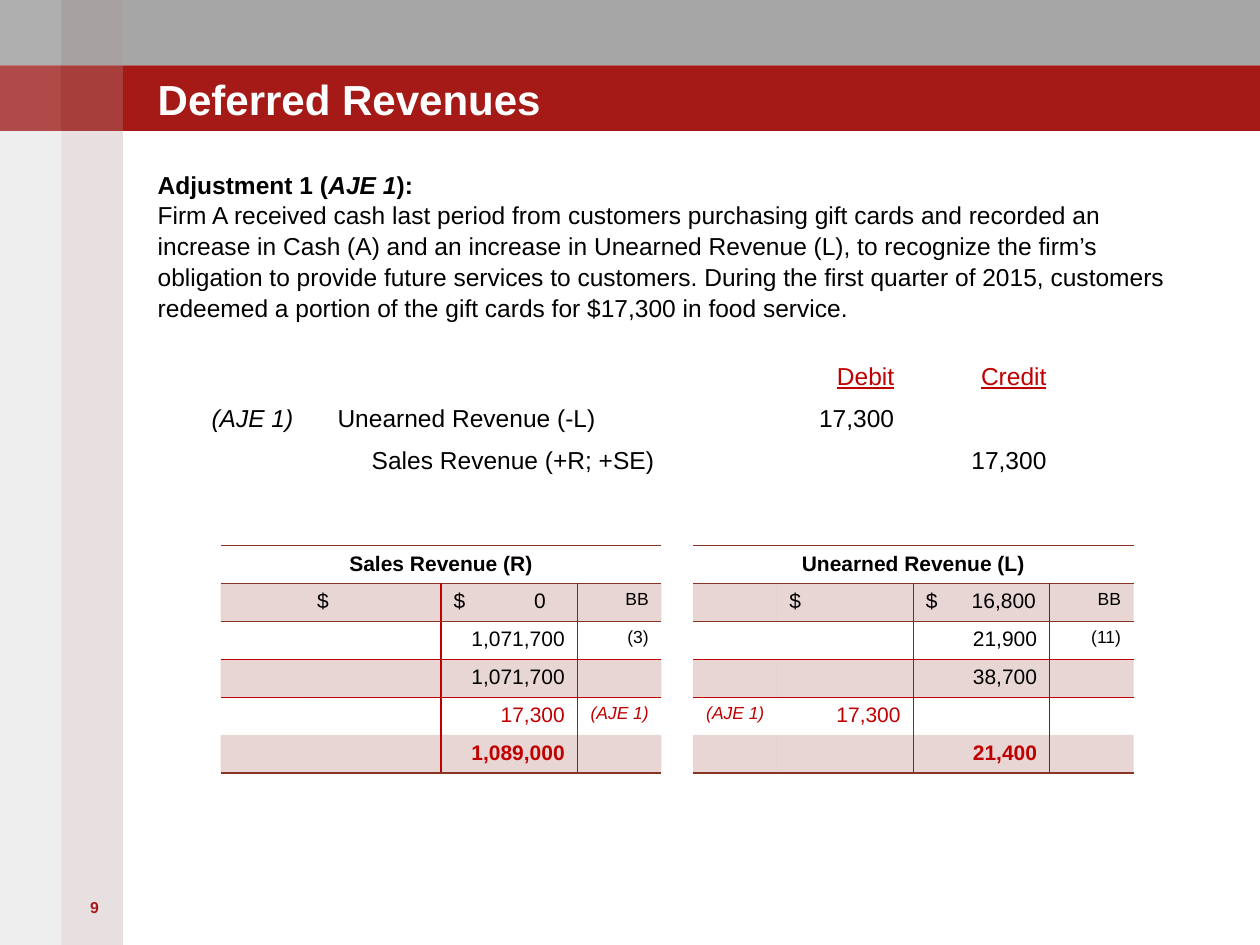
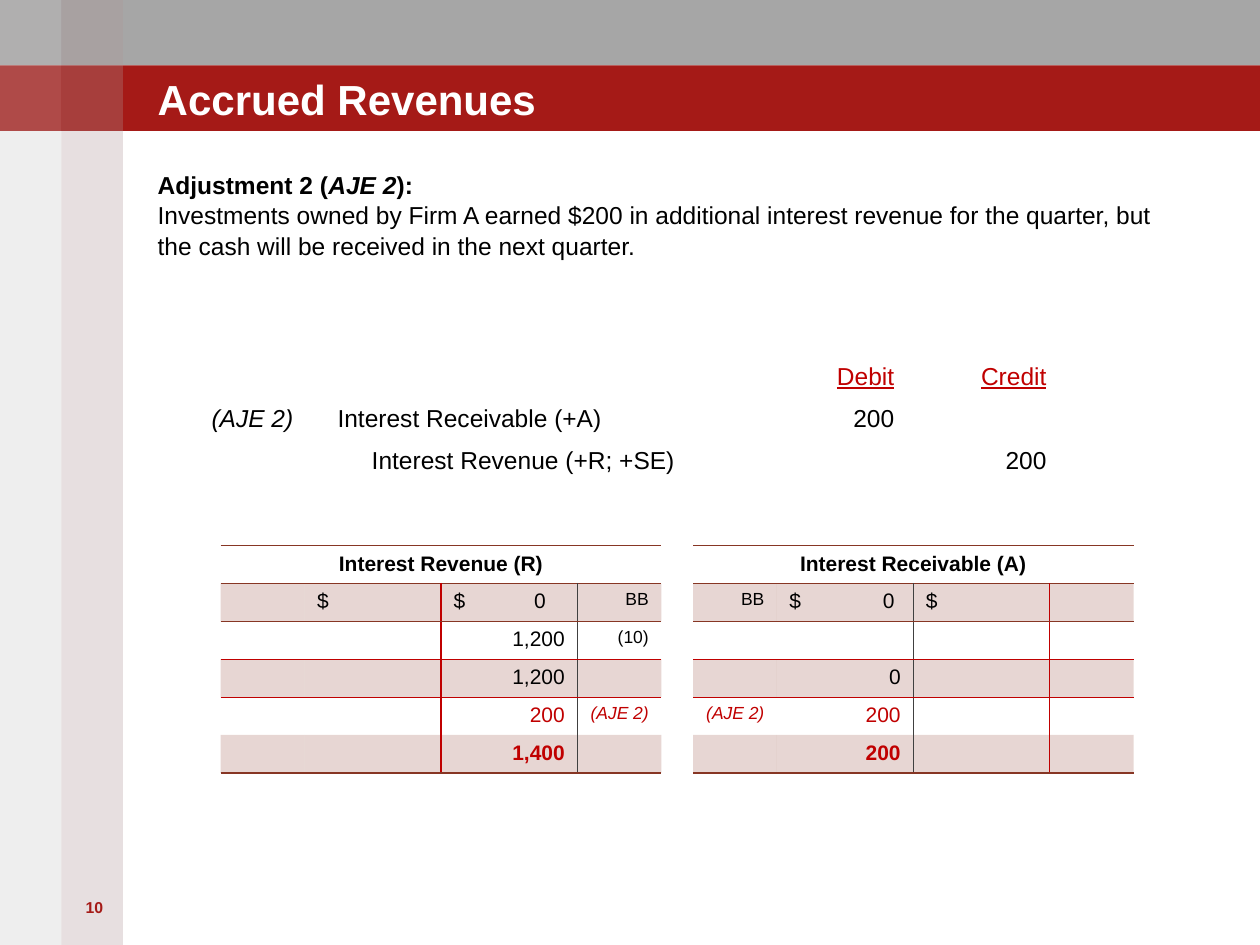
from dataclasses import dataclass

from lxml import etree
from pptx import Presentation
from pptx.dml.color import RGBColor
from pptx.enum.shapes import MSO_SHAPE
from pptx.enum.text import MSO_ANCHOR, MSO_AUTO_SIZE, PP_ALIGN
from pptx.oxml.ns import qn
from pptx.util import Cm, Pt

RECT = MSO_SHAPE.RECTANGLE
LOW = MSO_ANCHOR.BOTTOM
FIXED = MSO_AUTO_SIZE.NONE
LEFT, MID, RIGHT = PP_ALIGN.LEFT, PP_ALIGN.CENTER, PP_ALIGN.RIGHT
TITLE_ONLY = 5
NO_STYLE = "{2D5ABB26-0587-4C30-8999-92F81FD0307C}"


@dataclass(frozen=True)
class Theme:
    font: str = "Arial"
    white: str = "FFFFFF"
    black: str = "000000"
    gray: str = "A6A6A6"
    brand: str = "A51A17"
    rose: str = "A08284"
    stone: str = "938F8F"
    red: str = "C00000"
    brown: str = "873624"
    dark: str = "404040"
    title: int = 24
    body: int = 14
    ledger: int = 12
    note: int = 10
    number: int = 9


THEME = Theme()
WIDTH, HEIGHT = 25.4, 19.05
BAND, STRIPE = 1.32, 1.24
ENTRY_COLS = (2.54, 9.19, 2.54, 3.07)
LEDGER_COLS = (1.69, 2.75, 2.75, 1.69)
RULES = {0: (THEME.brown, 1), 1: (THEME.brown, 1),
         3: (THEME.red, 0.5), 6: (THEME.brown, 1)}
THICK, THIN = (THEME.red, 1), (THEME.dark, 0.5)

SLIDES = [
    {
        "page": 9,
        "title": "Deferred Revenues",
        "lead": ("Adjustment 1 (", "AJE 1", "):"),
        "story": "Firm A received cash last period from customers purchasing gift cards "
                 "and recorded an increase in Cash (A) and an increase in Unearned Revenue (L), "
                 "to recognize the firm’s obligation to provide future services to customers. "
                 "During the first quarter of 2015, customers redeemed a portion of the gift "
                 "cards for $17,300 in food service.",
        "entry": ("(AJE 1)", "Unearned Revenue (-L)", "Sales Revenue (+R; +SE)", "17,300"),
        "left": ("Sales Revenue (R)", 1.86, [
            ("", "$", "$\t0", "BB"),
            ("", "", "1,071,700", "(3)"),
            ("", "", "1,071,700", ""),
            ("", "", "17,300", "(AJE 1)"),
            ("", "", "1,089,000", ""),
        ]),
        "right": ("Unearned Revenue (L)", 2.22, [
            ("", "$", "$\t16,800", "BB"),
            ("", "", "21,900", "(11)"),
            ("", "", "38,700", ""),
            ("(AJE 1)", "17,300", "", ""),
            ("", "", "21,400", ""),
        ]),
    },
    {
        "page": 10,
        "title": "Accrued Revenues",
        "lead": ("Adjustment 2 (", "AJE 2", "):"),
        "story": "Investments owned by Firm A earned $200 in additional interest revenue "
                 "for the quarter, but the cash will be received in the next quarter.",
        "entry": ("(AJE 2)", "Interest Receivable (+A)", "Interest Revenue (+R; +SE)", "200"),
        "left": ("Interest Revenue (R)", 1.86, [
            ("", "$", "$\t0", "BB"),
            ("", "", "1,200", "(10)"),
            ("", "", "1,200", ""),
            ("", "", "200", "(AJE 2)"),
            ("", "", "1,400", ""),
        ]),
        "right": ("Interest Receivable (A)", 2.12, [
            ("BB", "$\t0", "$", ""),
            ("", "", "", ""),
            ("", "0", "", ""),
            ("(AJE 2)", "200", "", ""),
            ("", "200", "", ""),
        ]),
    },
]


def put(par, text, size=THEME.body, color=THEME.black, bold=False, italic=False,
        under=False, align=LEFT, indent=0, tab=0):
    par.alignment = align
    props = par._p.get_or_add_pPr()
    if indent:
        props.set("marL", str(Cm(indent)))
    if "\t" in text:
        stops = etree.SubElement(props, qn("a:tabLst"))
        etree.SubElement(stops, qn("a:tab"), pos=str(Cm(tab)), algn="r")
    if not text:
        etree.SubElement(par._p, qn("a:endParaRPr"), sz=str(size * 100))
        return
    run = par.add_run()
    run.text = text
    font = run.font
    font.name, font.size = THEME.font, Pt(size)
    font.bold, font.italic, font.underline = bold, italic, under
    font.color.rgb = RGBColor.from_string(color)


def paint(fill, props, color, alpha=100):
    fill.solid()
    fill.fore_color.rgb = RGBColor.from_string(color)
    if alpha < 100:
        tone = props.find(f"{qn('a:solidFill')}/{qn('a:srgbClr')}")
        etree.SubElement(tone, qn("a:alpha"), val=str(alpha * 1000))


def block(slide, left, top, width, height, color, alpha=100):
    shape = slide.shapes.add_shape(RECT, Cm(left), Cm(top), Cm(width), Cm(height))
    shape.shadow.inherit = False
    shape.line.fill.background()
    paint(shape.fill, shape._element.spPr, color, alpha)


def frame(slide, left, top, width, height):
    box = slide.shapes.add_textbox(Cm(left), Cm(top), Cm(width), Cm(height))
    box.text_frame.word_wrap = True
    return box.text_frame


def strip(area):
    area.margin_left = area.margin_right = area.margin_top = area.margin_bottom = 0


def bands(slide):
    for row, color in enumerate((THEME.gray, THEME.brand)):
        block(slide, 0, row * BAND, WIDTH, BAND, color)
    stripes = ((THEME.stone, 15, 15), (THEME.rose, 25, 5))
    for col, (color, alpha, glow) in enumerate(stripes):
        block(slide, col * STRIPE, 0, STRIPE, HEIGHT, color, alpha)
        for row in range(2):
            block(slide, col * STRIPE, row * BAND, STRIPE, BAND, THEME.white, glow)


def head(slide, text):
    title = slide.shapes.title
    slide.shapes._spTree.append(title._element)
    title.left, title.top, title.width, title.height = Cm(3.18), Cm(0.79), Cm(20.96), Cm(1.7)
    area = title.text_frame
    strip(area)
    area.auto_size, area.vertical_anchor = FIXED, LOW
    put(area.paragraphs[0], text, size=THEME.title, color=THEME.white, bold=True)


def footer(slide, page):
    area = frame(slide, 1.27, 17.98, 1.27, 1.42)
    put(area.paragraphs[0], str(page), size=THEME.number, color=THEME.brand,
        bold=True, align=MID)


def brief(slide, lead, story):
    area = frame(slide, 3.18, 3.39, 20.32, 4.2)
    strip(area)
    first, second = area.paragraphs[0], area.add_paragraph()
    first.line_spacing = second.line_spacing = 1.05
    for spot, text in enumerate(lead):
        put(first, text, bold=True, italic=spot == 1)
    put(second, story)


def grid(slide, left, top, cols, rows, height):
    holder = slide.shapes.add_table(rows, len(cols), Cm(left), Cm(top),
                                    Cm(sum(cols)), Cm(rows * height))
    table = holder.table
    table.first_row = table.horz_banding = False
    table._tbl.tblPr.find(qn("a:tableStyleId")).text = NO_STYLE
    for col, width in zip(table.columns, cols):
        col.width = Cm(width)
    for row in table.rows:
        row.height = Cm(height)
    return table


def edge(cell, **sides):
    props = cell._tc.get_or_add_tcPr()
    for side, rule in sides.items():
        if rule:
            color, width = rule
            line = etree.SubElement(props, qn(f"a:ln{side}"), w=str(Pt(width)))
            fill = etree.SubElement(line, qn("a:solidFill"))
            etree.SubElement(fill, qn("a:srgbClr"), val=color)


def entry(slide, label, debit, credit, amount):
    table = grid(slide, 4.01, 7.19, ENTRY_COLS, 3, 0.81)
    rows = (("", "", "Debit", "Credit"),
            (label, debit, amount, ""),
            ("", credit, "", amount))
    for r, row in enumerate(rows):
        for c, text in enumerate(row):
            cell = table.cell(r, c)
            cell.fill.background()
            put(cell.text_frame.paragraphs[0], text,
                color=THEME.black if r else THEME.red, under=r == 0, italic=c == 0,
                align=RIGHT if c > 1 else LEFT, indent=0.69 if (r, c) == (2, 1) else 0)


def ledger(slide, left, stems, name, tab, rows):
    table = grid(slide, left, 11, LEDGER_COLS, 6, 0.73)
    table.cell(0, 0).merge(table.cell(0, 3))
    for r, row in enumerate([(name, "", "", "")] + rows):
        for c, text in enumerate(row):
            cell = table.cell(r, c)
            edge(cell, L=stems.get(c) if r else None, R=stems.get(c + 1) if r else None,
                 T=RULES.get(r), B=RULES.get(r + 1))
            if r % 2:
                paint(cell.fill, cell._tc.tcPr, THEME.brown, 20)
            else:
                cell.fill.background()
            side = r > 0 and c in (0, 3)
            align = MID if r == 0 else LEFT if text.startswith("$") else RIGHT
            put(cell.text_frame.paragraphs[0], text, align=align, tab=tab,
                size=THEME.note if side else THEME.ledger,
                color=THEME.red if r > 3 else THEME.black,
                bold=r in (0, 5), italic=side and r == 4)


def main():
    deck = Presentation()
    deck.slide_width, deck.slide_height = Cm(WIDTH), Cm(HEIGHT)
    for data in SLIDES:
        slide = deck.slides.add_slide(deck.slide_layouts[TITLE_ONLY])
        bands(slide)
        footer(slide, data["page"])
        head(slide, data["title"])
        brief(slide, data["lead"], data["story"])
        entry(slide, *data["entry"])
        ledger(slide, 4.45, {2: THICK, 3: THIN}, *data["left"])
        ledger(slide, 13.97, {2: THIN, 3: THICK}, *data["right"])
    deck.save("out.pptx")


if __name__ == "__main__":
    main()
